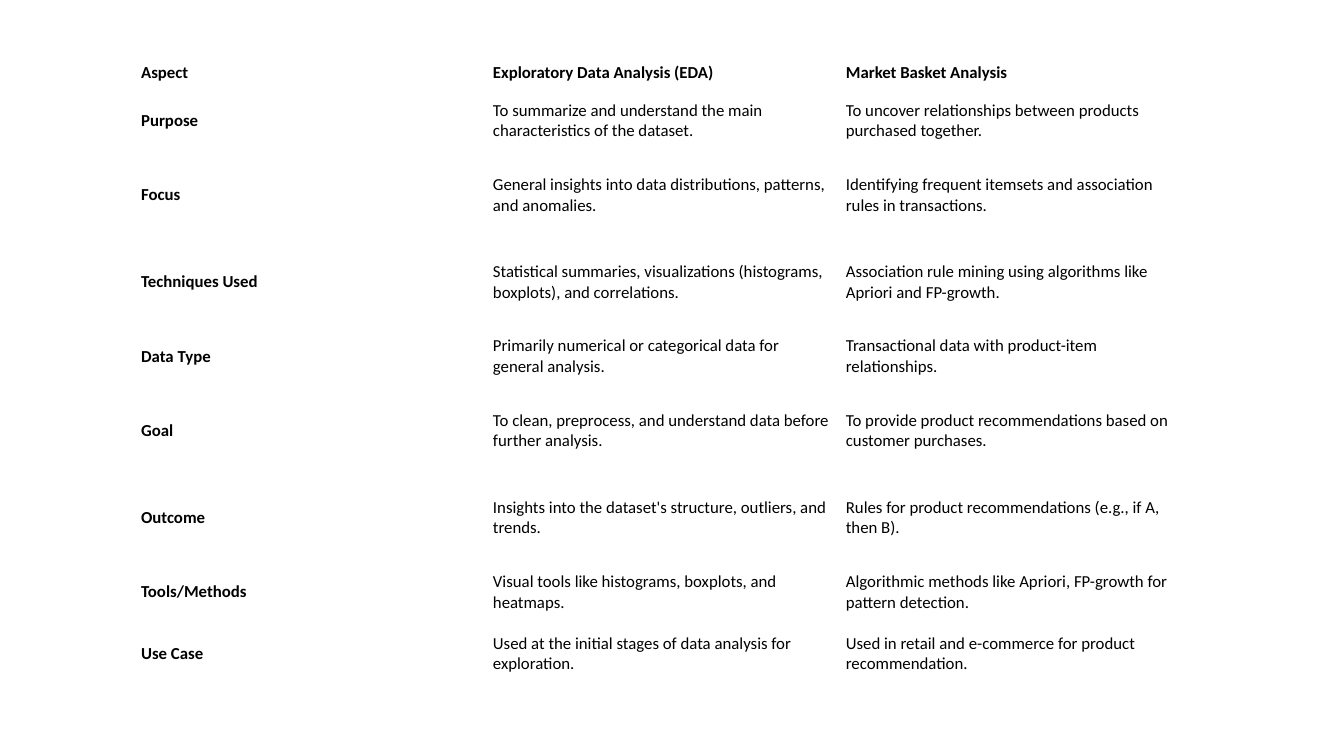
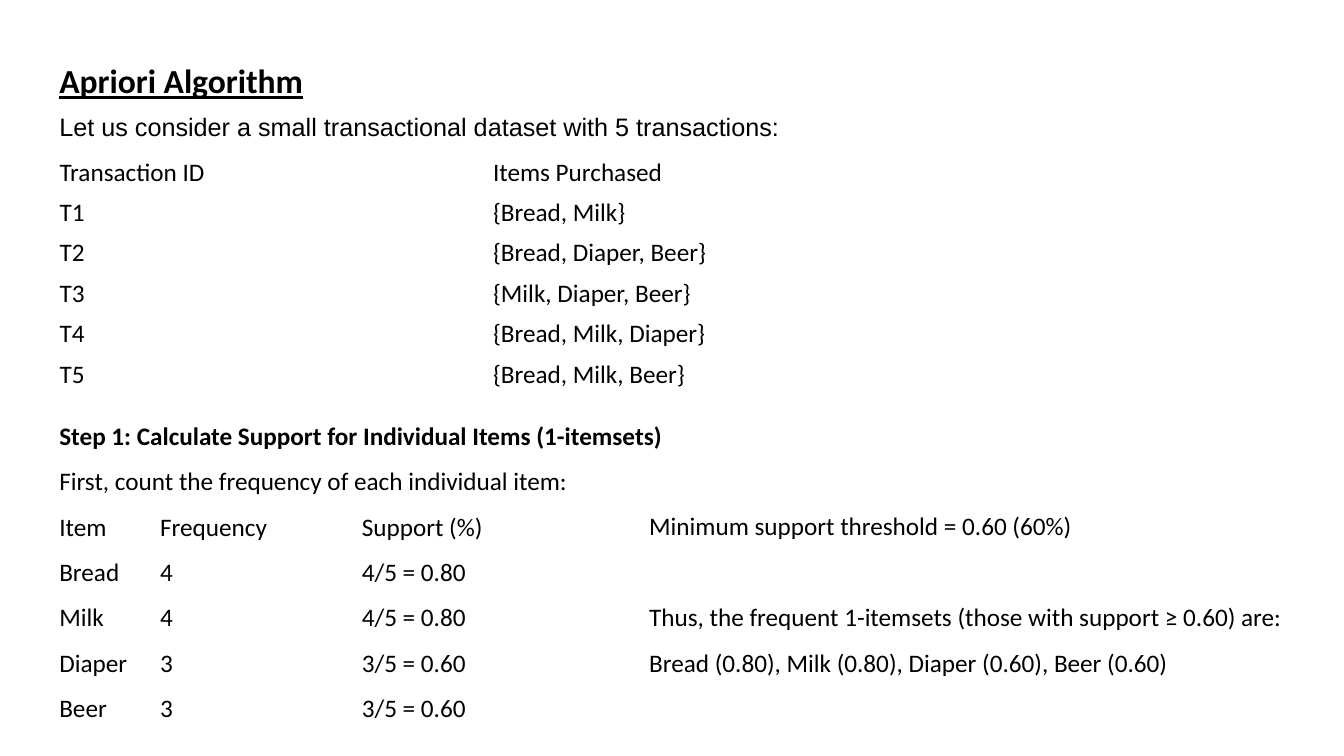
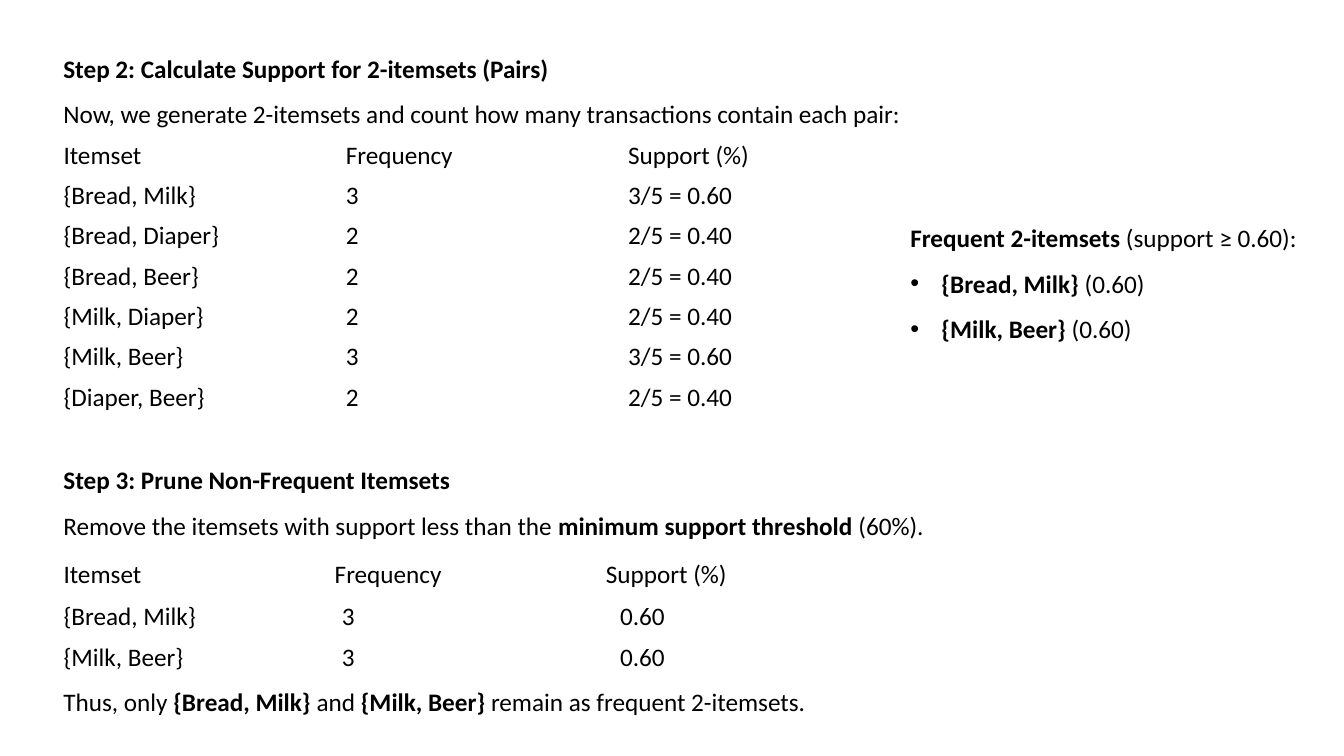
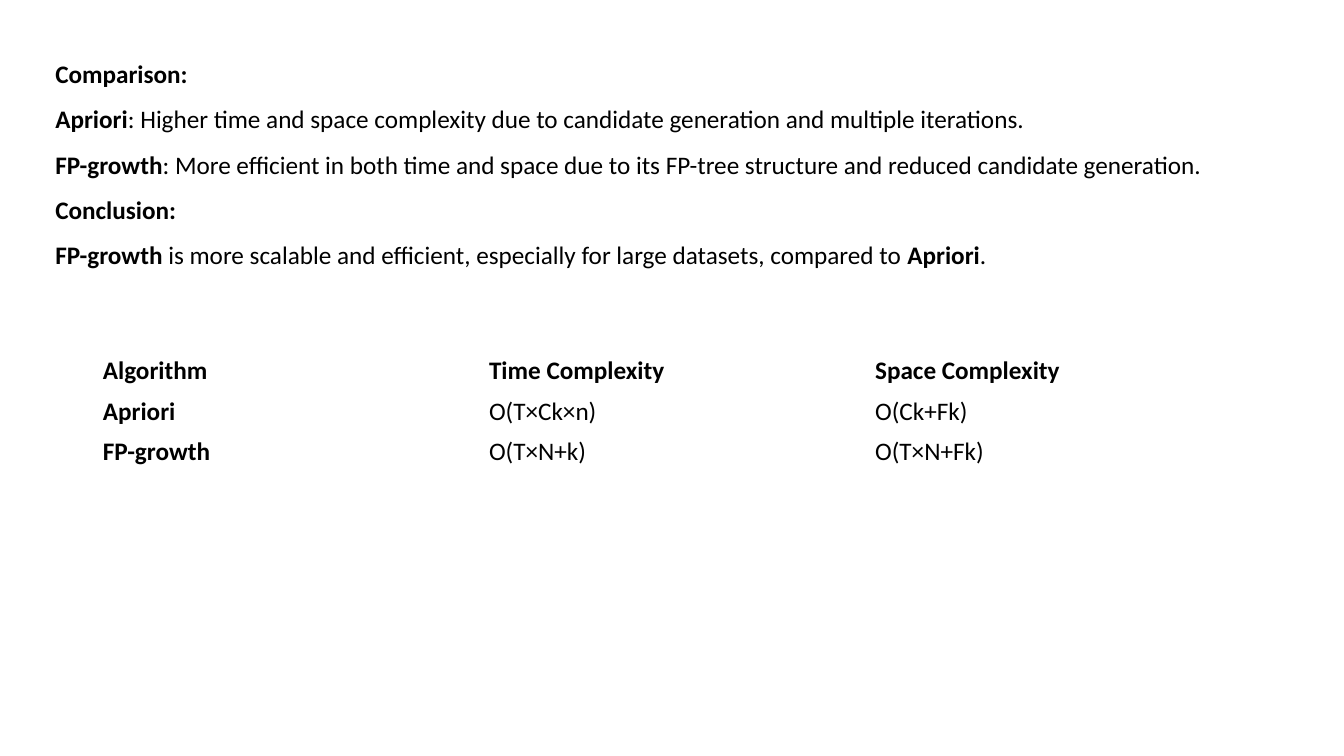
from dataclasses import dataclass

from lxml import etree
from pptx import Presentation
from pptx.dml.color import RGBColor
from pptx.enum.text import MSO_ANCHOR, MSO_AUTO_SIZE, PP_ALIGN
from pptx.oxml.ns import qn
from pptx.util import Pt

MIDDLE = MSO_ANCHOR.MIDDLE
GROW = MSO_AUTO_SIZE.SHAPE_TO_FIT_TEXT
JUSTIFY = PP_ALIGN.JUSTIFY
EMU_PER_PX = 9144


@dataclass(frozen=True)
class Theme:
    ink: RGBColor = RGBColor(0, 0, 0)
    font: str = "Calibri"
    alt_font: str = "Arial"
    title: int = 24
    body: int = 18
    small: int = 12
    leading: float = 1.5
    blank_line: int = 33
    row: int = 40
    cell_margins: tuple = (10, 5)
    tight_margins: tuple = (7, 3)


THEME = Theme()


def px(n):
    return n * EMU_PER_PX


def add_runs(p, text, size, font=THEME.font, underline=None):
    for i, part in enumerate(text.split("**")):
        if part:
            r = p.add_run()
            r.text = part
            r.font.name = font
            r.font.size = Pt(size)
            r.font.bold = i % 2 == 1
            r.font.underline = underline
            r.font.color.rgb = THEME.ink


def add_text(s, box, lines, size=THEME.body, leading=None, align=None, **style):
    tf = s.shapes.add_textbox(*map(px, box)).text_frame
    tf.word_wrap = True
    tf.auto_size = GROW
    for i, line in enumerate(lines):
        p = tf.add_paragraph() if i else tf.paragraphs[0]
        p.line_spacing = leading
        p.alignment = align
        add_runs(p, line, size, **style)
    return tf


def add_bullet(p):
    pPr = p._p.get_or_add_pPr()
    pPr.set("marL", str(px(31)))
    pPr.set("indent", str(px(-31)))
    etree.SubElement(pPr, qn("a:buFont")).set("typeface", THEME.alt_font)
    etree.SubElement(pPr, qn("a:buChar")).set("char", "•")


def add_tab_stops(p, stops):
    tabs = etree.SubElement(p._p.get_or_add_pPr(), qn("a:tabLst"))
    for stop in stops:
        tab = etree.SubElement(tabs, qn("a:tab"))
        tab.set("pos", str(px(stop)))
        tab.set("algn", "l")


def add_grid(s, x, y, widths, rows, heights=None, size=THEME.body,
             margins=THEME.cell_margins):
    heights = heights or [THEME.row] * len(rows)
    table = s.shapes.add_table(len(rows), len(widths), px(x), px(y),
                               px(sum(widths)), px(sum(heights))).table
    table.first_row = table.horz_banding = False
    for col, width in zip(table.columns, widths):
        col.width = px(width)
    side, edge = map(px, margins)
    for row, height, texts in zip(table.rows, heights, rows):
        row.height = px(height)
        for cell, text in zip(row.cells, texts):
            cell.fill.background()
            cell.vertical_anchor = MIDDLE
            cell.margin_left = cell.margin_right = side
            cell.margin_top = cell.margin_bottom = edge
            add_runs(cell.text_frame.paragraphs[0], text, size)


def build_aspects(s):
    rows = [
        ("**Aspect**", "**Exploratory Data Analysis (EDA)**", "**Market Basket Analysis**"),
        ("**Purpose**",
         "To summarize and understand the main characteristics of the dataset.",
         "To uncover relationships between products purchased together."),
        ("**Focus**",
         "General insights into data distributions, patterns, and anomalies.",
         "Identifying frequent itemsets and association rules in transactions."),
        ("**Techniques Used**",
         "Statistical summaries, visualizations (histograms, boxplots), and correlations.",
         "Association rule mining using algorithms like Apriori and FP-growth."),
        ("**Data Type**",
         "Primarily numerical or categorical data for general analysis.",
         "Transactional data with product-item relationships."),
        ("**Goal**",
         "To clean, preprocess, and understand data before further analysis.",
         "To provide product recommendations based on customer purchases."),
        ("**Outcome**",
         "Insights into the dataset's structure, outliers, and trends.",
         "Rules for product recommendations (e.g., if A, then B)."),
        ("**Tools/Methods**",
         "Visual tools like histograms, boxplots, and heatmaps.",
         "Algorithmic methods like Apriori, FP-growth for pattern detection."),
        ("**Use Case**",
         "Used at the initial stages of data analysis for exploration.",
         "Used in retail and e-commerce for product recommendation."),
    ]
    add_grid(s, 133, 55, [349, 350, 350], rows,
             heights=[35, 60, 87, 86, 61, 87, 86, 61, 61],
             size=THEME.small, margins=THEME.tight_margins)


def build_single_items(s):
    left = 49
    add_text(s, (left, 55, 300, 50), ["**Apriori Algorithm**"],
             size=THEME.title, underline=True)
    add_grid(s, left, 151, [430] * 2, [
        ("Transaction ID", "Items Purchased"),
        ("T1", "{Bread, Milk}"),
        ("T2", "{Bread, Diaper, Beer}"),
        ("T3", "{Milk, Diaper, Beer}"),
        ("T4", "{Bread, Milk, Diaper}"),
        ("T5", "{Bread, Milk, Beer}"),
    ])
    add_text(s, (left, 106, 780, 40),
             ["Let us consider a small transactional dataset with 5 transactions:"],
             font=THEME.alt_font)
    tf = add_text(s, (left, 397, 1140, 328), [
        "**Step 1: Calculate Support for Individual Items (1-itemsets)**",
        "First, count the frequency of each individual item:",
        "Item\tFrequency\tSupport (%)",
        "Bread\t4\t4/5 = 0.80",
        "Milk\t4\t4/5 = 0.80",
        "Diaper\t3\t3/5 = 0.60",
        "Beer\t3\t3/5 = 0.60",
    ], leading=THEME.leading)
    for p in tf.paragraphs[2:]:
        add_tab_stops(p, (100, 300))
    tf = add_text(s, (634, 486, 680, 192), [
        "Minimum support threshold = 0.60 (60%)",
        "Thus, the frequent 1-itemsets (those with support ≥ 0.60) are:",
        "Bread (0.80), Milk (0.80), Diaper (0.60), Beer (0.60)",
    ], leading=THEME.leading)
    tf.paragraphs[1].space_before = Pt(THEME.blank_line)


def build_pairs(s):
    left = 53
    header = ("Itemset", "Frequency", "Support (%)")
    add_grid(s, left, 134, [280] * 3, [
        header,
        ("{Bread, Milk}", "3", "3/5 = 0.60"),
        ("{Bread, Diaper}", "2", "2/5 = 0.40"),
        ("{Bread, Beer}", "2", "2/5 = 0.40"),
        ("{Milk, Diaper}", "2", "2/5 = 0.40"),
        ("{Milk, Beer}", "3", "3/5 = 0.60"),
        ("{Diaper, Beer}", "2", "2/5 = 0.40"),
    ])
    add_text(s, (left, 33, 1080, 101), [
        "**Step 2: Calculate Support for 2-itemsets (Pairs)**",
        "Now, we generate 2-itemsets and count how many transactions contain each pair:",
    ], leading=THEME.leading)
    tf = add_text(s, (893, 201, 430, 146), [
        "**Frequent 2-itemsets** (support ≥ 0.60):",
        "**{Bread, Milk}** (0.60)",
        "**{Milk, Beer}** (0.60)",
    ], leading=THEME.leading)
    for p in tf.paragraphs[1:]:
        add_bullet(p)
    add_text(s, (left, 441, 1062, 101), [
        "**Step 3: Prune Non-Frequent Itemsets**",
        "Remove the itemsets with support less than the "
        "**minimum support threshold** (60%).",
    ], leading=THEME.leading)
    for y, width, row in (
        (550, 269, header),
        (592, 276, ("{Bread, Milk}", "3", "0.60")),
        (632, 276, ("{Milk, Beer}", "3", "0.60")),
    ):
        add_grid(s, left, y, [width] * 3, [row])
    add_text(s, (left, 676, 907, 40), [
        "Thus, only **{Bread, Milk}** and **{Milk, Beer}** remain as frequent 2-itemsets.",
    ])


def build_comparison(s):
    add_grid(s, 92, 348, [383] * 3, [
        ("**Algorithm**", "**Time Complexity**", "**Space Complexity**"),
        ("**Apriori**", "O(T×Ck×n)", "O(Ck+Fk)"),
        ("**FP-growth**", "O(T×N+k)", "O(T×N+Fk)"),
    ])
    add_text(s, (45, 38, 1200, 237), [
        "**Comparison:**",
        "**Apriori**: Higher time and space complexity due to candidate generation "
        "and multiple iterations.",
        "**FP-growth**: More efficient in both time and space due to its FP-tree "
        "structure and reduced candidate generation.",
        "**Conclusion:**",
        "**FP-growth** is more scalable and efficient, especially for large datasets, "
        "compared to **Apriori**.",
    ], leading=THEME.leading, align=JUSTIFY)


def main():
    prs = Presentation()
    prs.slide_width, prs.slide_height = px(1333), px(750)
    blank = prs.slide_layouts[6]
    for build in (build_aspects, build_single_items, build_pairs, build_comparison):
        build(prs.slides.add_slide(blank))
    prs.save("out.pptx")


if __name__ == "__main__":
    main()
